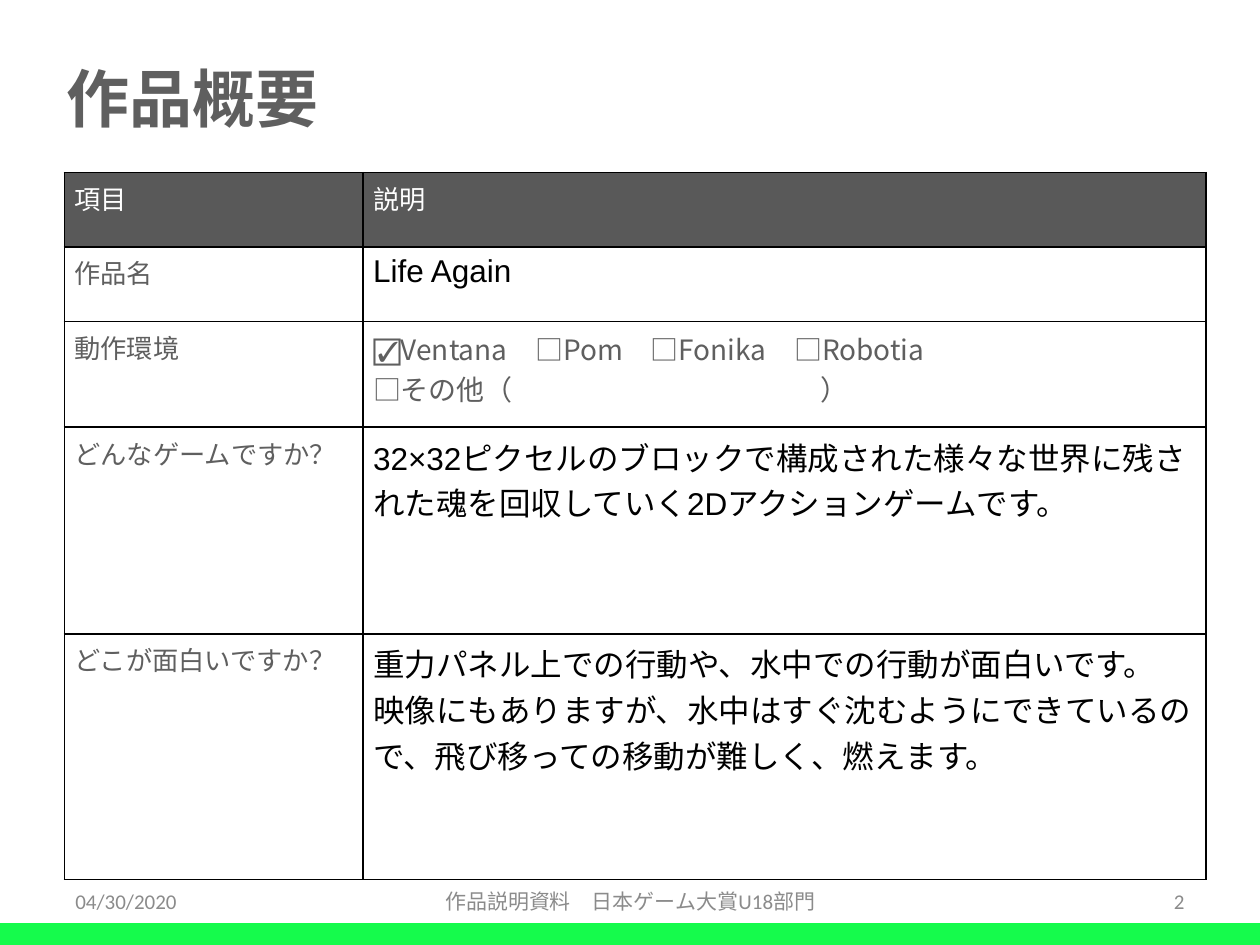
from lxml.etree import SubElement
from pptx import Presentation
from pptx.dml.color import RGBColor
from pptx.enum.shapes import MSO_SHAPE
from pptx.enum.text import MSO_ANCHOR, MSO_AUTO_SIZE, PP_ALIGN
from pptx.oxml import parse_xml
from pptx.oxml.ns import nsdecls, qn
from pptx.util import Cm, Pt

# Content
NOTO, ARIAL, CALIBRI = "Noto Sans CJK JP", "Arial", "Calibri"
TITLE = "作品概要"
HEAD = (15, NOTO, "FFFFFF")
LABEL = (15, NOTO, "5F5F5F")
CHECK = (16, NOTO, "5F5F5F")
ENTRY = (18, ARIAL, "000000")
FOOT = (12, CALIBRI, "8B8B8B")

# Row height in cm, label, answer paragraphs, answer style
ROWS = [
    (1.5, "項目", ["説明"], HEAD),
    (1.5, "作品名", ["Life Again"], ENTRY),
    (2.13, "動作環境",
     ["☑Ventana　□Pom　□Fonika　□Robotia", "□その他（\t）"], CHECK),
    (4.17, "どんなゲームですか？",
     ["32×32ピクセルのブロックで構成された様々な世界に残された"
      "魂を回収していく2Dアクションゲームです。"], ENTRY),
    (4.95, "どこが面白いですか？",
     ["重力パネル上での行動や、水中での行動が面白いです。",
      "映像にもありますが、水中はすぐ沈むようにできているので、"
      "飛び移っての移動が難しく、燃えます。"], ENTRY),
]
COLS = [6.02, 16.99]
# Footer: left and width in cm, text, alignment
FEET = [
    (1.27, 5.92, "04/30/2020", PP_ALIGN.LEFT),
    (8.69, 8.03, "作品説明資料　日本ゲーム大賞U18部門", PP_ALIGN.CENTER),
    (18.21, 5.92, "2", PP_ALIGN.RIGHT),
]


def paint(fill, hue):
    fill.solid()
    fill.fore_color.rgb = RGBColor.from_string(hue)


def write(par, text, style, bold=False):
    size, face, hue = style
    run = par.add_run()
    run.text = text
    font = run.font
    font.size, font.name, font.bold = Pt(size), face, bold
    paint(font.fill, hue)
    SubElement(run._r.get_or_add_rPr(), qn("a:ea"), typeface=NOTO)


def pad(box, side, top):
    box.margin_left = box.margin_right = Cm(side)
    box.margin_top = box.margin_bottom = Cm(top)


def frame(cell):
    props = cell._tc.get_or_add_tcPr()
    for i, edge in enumerate("LRTB"):
        props.insert(i, parse_xml(
            f'<a:ln{edge} {nsdecls("a")} w="12700"><a:solidFill>'
            f'<a:srgbClr val="000000"/></a:solidFill></a:ln{edge}>'))


def enter(cell, lines, style):
    pad(cell, 0.2, 0.13)
    if style is HEAD:
        paint(cell.fill, "595959")
    else:
        cell.fill.background()
    frame(cell)
    text = cell.text_frame
    for i, line in enumerate(lines):
        par = text.add_paragraph() if i else text.paragraphs[0]
        if "\t" in line:
            tabs = SubElement(par._p.get_or_add_pPr(), qn("a:tabLst"))
            SubElement(tabs, qn("a:tab"), pos=str(Cm(9.03)), algn="l")
        write(par, line, style)


deck = Presentation()
deck.slide_width, deck.slide_height = Cm(25.4), Cm(19.05)
slide = deck.slides.add_slide(deck.slide_layouts[5])
shapes = slide.shapes

# Title
title = shapes.title
title.left, title.top = Cm(1.19), Cm(0.28)
title.width, title.height = Cm(23.52), Cm(4.17)
text = title.text_frame
text.auto_size = MSO_AUTO_SIZE.NONE
text.vertical_anchor = MSO_ANCHOR.TOP
pad(text, 0.15, 0.15)
par = text.paragraphs[0]
par.alignment, par.line_spacing = PP_ALIGN.LEFT, 1.5
write(par, TITLE, (36, NOTO, "5F5F5F"), True)

# Overview table
high = sum(row[0] for row in ROWS)
table = shapes.add_table(len(ROWS), len(COLS), Cm(1.3), Cm(3.48),
                         Cm(sum(COLS)), Cm(high)).table
table.first_row = table.horz_banding = False
for col, wide in zip(table.columns, COLS):
    col.width = Cm(wide)
for row, (tall, label, lines, style) in zip(table.rows, ROWS):
    row.height = Cm(tall)
    enter(row.cells[0], [label], HEAD if style is HEAD else LABEL)
    enter(row.cells[1], lines, style)

# Green band
band = shapes.add_shape(MSO_SHAPE.RECTANGLE, 0, Cm(18.64),
                        deck.slide_width, Cm(0.41))
band.shadow.inherit = False
paint(band.fill, "15FB4C")
paint(band.line.fill, "15FB4C")
band.line.width = Pt(2)

# Footer
for left, wide, words, side in FEET:
    text = shapes.add_textbox(Cm(left), Cm(17.65), Cm(wide), Cm(1.02)).text_frame
    text.word_wrap = True
    text.vertical_anchor = MSO_ANCHOR.MIDDLE
    pad(text, 0.25, 0.13)
    par = text.paragraphs[0]
    par.alignment = side
    write(par, words, FOOT)

deck.save("out.pptx")
